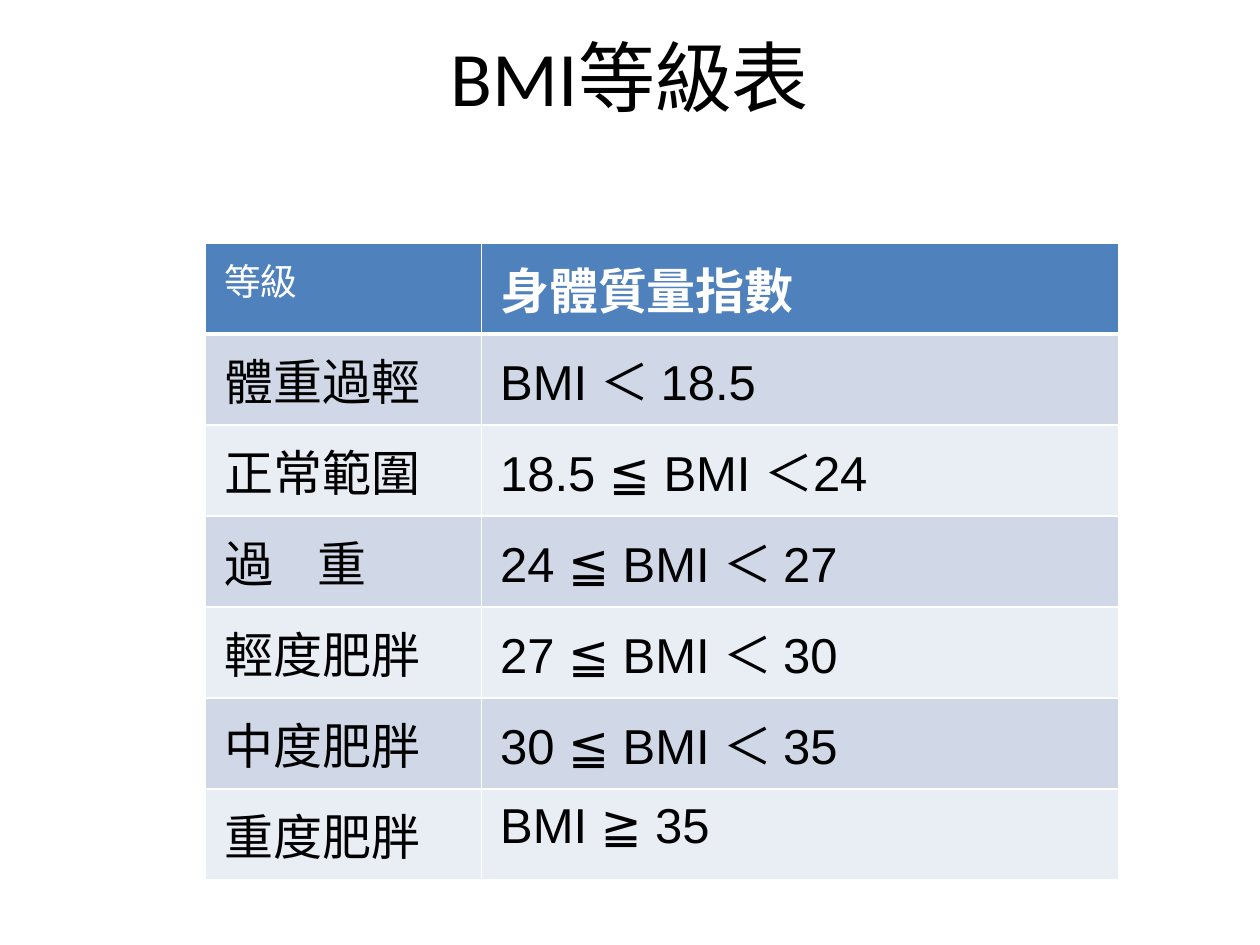
from dataclasses import dataclass

from lxml import etree
from pptx import Presentation
from pptx import util as u
from pptx.dml.color import RGBColor
from pptx.enum import text
from pptx.oxml.ns import qn


@dataclass(frozen=True)
class Theme:
    ink: str = "000000"
    white: str = "FFFFFF"
    head: str = "4F81BD"
    bands: tuple = ("D0D8E8", "E9EDF4")
    big: int = 44
    mid: int = 28
    small: int = 21


T = Theme()
WIDE, HIGH = 10, 7.5
COLS = (2.19, 5.06)
ROW = 0.71

# Spaces inside these labels are no-break spaces
HEAD = ("等級", "身體質量指數")
GRADES = (
    ("體重過輕", "BMI ＜ 18.5"),
    ("正常範圍", "18.5 ≦ BMI ＜24"),
    ("過    重", "24 ≦ BMI ＜ 27"),
    ("輕度肥胖", "27 ≦ BMI ＜ 30"),
    ("中度肥胖", "30 ≦ BMI ＜ 35"),
    ("重度肥胖", "BMI ≧ 35"),
)


def apply(obj, vals):
    for key, val in vals.items():
        setattr(obj, key, val)


def write(frame, words, face, size, hue, bold=False):
    run = frame.paragraphs[0].add_run()
    run.text = words
    apply(run.font, {"name": face, "size": u.Pt(size), "bold": bold})
    run.font.color.rgb = RGBColor.from_string(hue)


def add_title(slide, words):
    box = slide.shapes.title
    apply(box, {"left": u.Inches(0.05 * WIDE), "top": u.Inches(0.04 * HIGH),
                "width": u.Inches(0.9 * WIDE), "height": u.Inches(1.25)})
    frame = box.text_frame
    # A deep bottom inset lifts the line into the upper half of the box
    apply(frame, {"margin_top": 0, "margin_bottom": u.Inches(0.65),
                  "vertical_anchor": text.MSO_ANCHOR.MIDDLE,
                  "word_wrap": True})
    frame.paragraphs[0].alignment = text.PP_ALIGN.CENTER
    write(frame, words, "Calibri", T.big, T.ink)


def add_edges(cell, base):
    props = cell._tc.get_or_add_tcPr()
    for side, wide in (("L", 1), ("R", 1), ("T", 1), ("B", base)):
        line = etree.SubElement(props, qn("a:ln" + side), w=str(u.Pt(wide)))
        fill = etree.SubElement(line, qn("a:solidFill"))
        etree.SubElement(fill, qn("a:srgbClr"), val=T.white)


def fill_cell(cell, words, size, hue, back, bold=False, base=1):
    apply(cell, {"margin_left": u.Inches(0.15), "margin_right": u.Inches(0.15),
                 "margin_top": u.Inches(0.08),
                 "margin_bottom": u.Inches(0.08)})
    add_edges(cell, base)
    cell.fill.solid()
    cell.fill.fore_color.rgb = RGBColor.from_string(back)
    write(cell.text_frame, words, "Arial", size, hue, bold)


def add_grid(slide):
    count = len(GRADES) + 1
    grid = slide.shapes.add_table(
        count, len(COLS), u.Inches(1.63), u.Inches(1.93),
        u.Inches(sum(COLS)), u.Inches(ROW * count)).table
    for col, wide in zip(grid.columns, COLS):
        col.width = u.Inches(wide)
    # Header row: a small plain label, then a large bold one
    for c, size in enumerate((T.small, T.mid)):
        fill_cell(grid.cell(0, c), HEAD[c], size, T.white, T.head,
                  bold=c == 1, base=3)
    # Banded body rows
    for r, pair in enumerate(GRADES):
        for c, words in enumerate(pair):
            fill_cell(grid.cell(r + 1, c), words, T.mid, T.ink,
                      T.bands[r % 2])


def main():
    deck = Presentation()
    apply(deck, {"slide_width": u.Inches(WIDE),
                 "slide_height": u.Inches(HIGH)})
    slide = deck.slides.add_slide(deck.slide_layouts[5])
    add_title(slide, "BMI等級表")
    add_grid(slide)
    deck.save("out.pptx")


if __name__ == "__main__":
    main()
